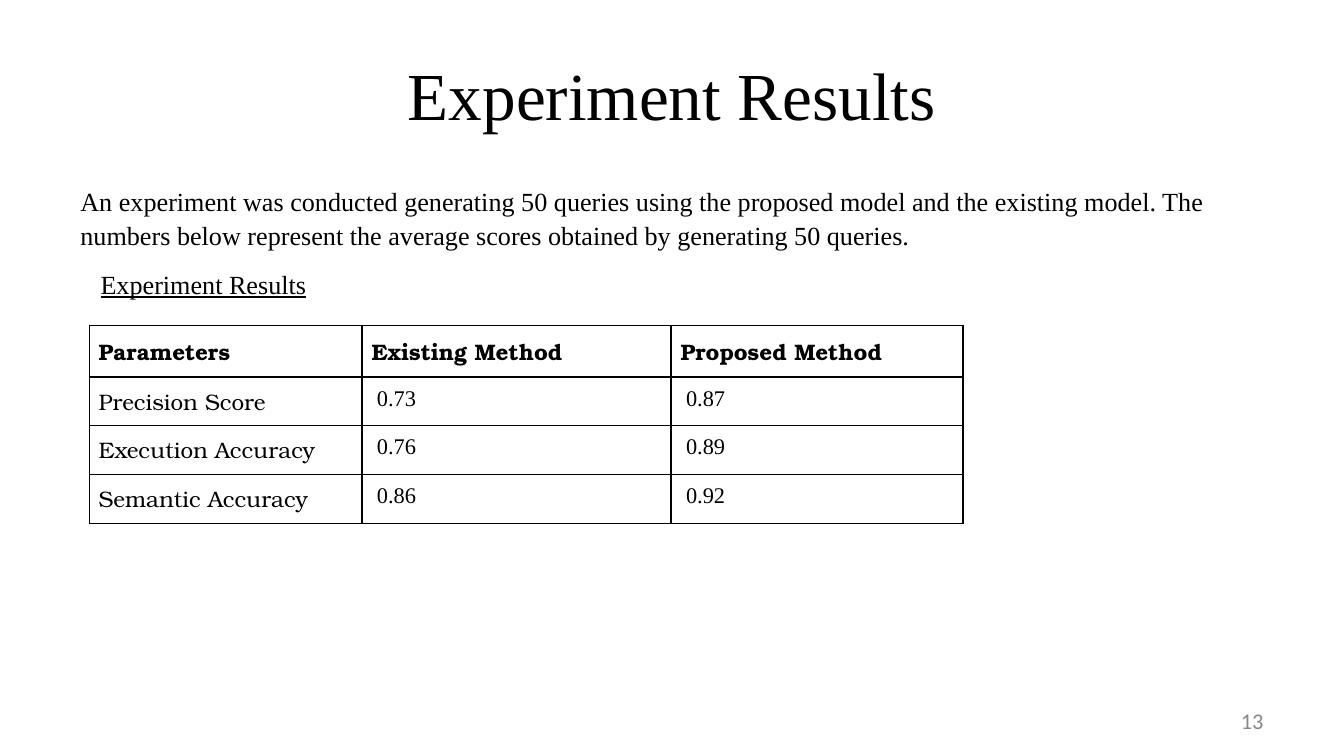
from dataclasses import dataclass

from lxml.etree import SubElement
from pptx import Presentation
from pptx.dml.color import RGBColor
from pptx.enum.text import MSO_ANCHOR, PP_ALIGN
from pptx.oxml.ns import qn
from pptx.util import Inches, Pt


@dataclass(frozen=True)
class Theme:
    ink: str = "000000"
    muted: str = "888888"
    paper: str = "FFFFFF"
    serif: str = "Times New Roman"
    label: str = "TeX Gyre Bonum"
    sans: str = "Calibri"
    title: int = 36
    body: int = 14
    small: int = 12
    border: int = 1


THEME = Theme()
WIDTH = Inches(10)
HEIGHT = WIDTH * 9 // 16
MARGIN = 5  # percent of the slide width
RESULTS = [
    ("Parameters", "Existing Method", "Proposed Method"),
    ("Precision Score", "0.73", "0.87"),
    ("Execution Accuracy", "0.76", "0.89"),
    ("Semantic Accuracy", "0.86", "0.92"),
]
COLUMN_WEIGHTS = (2.03, 2.3, 2.17)


def percent(x, y, w, h):
    """Turn percentages of the slide's size into a box."""
    return (int(x * WIDTH / 100), int(y * HEIGHT / 100),
            int(w * WIDTH / 100), int(h * HEIGHT / 100))


def style(p, size, font, color=THEME.ink, bold=False):
    p.font.size = Pt(size)
    p.font.name = font
    p.font.bold = bold
    p.font.color.rgb = RGBColor.from_string(color)


def add_text(slide, box, text, size, font, color=THEME.ink,
             align=PP_ALIGN.LEFT, anchor=MSO_ANCHOR.MIDDLE):
    tf = slide.shapes.add_textbox(*box).text_frame
    tf.word_wrap = True
    tf.vertical_anchor = anchor
    p = tf.paragraphs[0]
    p.text = text
    p.alignment = align
    style(p, size, font, color)
    return tf


def add_body(slide, box, intro, caption):
    tf = add_text(slide, box, intro, THEME.body, THEME.serif, anchor=MSO_ANCHOR.TOP)
    tf.paragraphs[0].line_spacing = 1.08
    p = tf.add_paragraph()
    p.text = caption
    p.line_spacing = 1.08
    p.space_before = Pt(8)
    p._p.get_or_add_pPr().set("marL", str(Inches(0.15)))
    style(p, THEME.body, THEME.serif)
    p.font.underline = True


def add_borders(cell):
    tc_pr = cell._tc.get_or_add_tcPr()
    for i, side in enumerate(("a:lnL", "a:lnR", "a:lnT", "a:lnB")):
        ln = tc_pr.makeelement(qn(side), {"w": str(Pt(THEME.border))})
        tc_pr.insert(i, ln)
        fill = SubElement(ln, qn("a:solidFill"))
        SubElement(fill, qn("a:srgbClr"), val=THEME.ink)


def add_results(slide, box, rows):
    """Draw the score table; columns and header take fixed shares of the box."""
    x, y, w, h = box
    table = slide.shapes.add_table(len(rows), len(rows[0]), x, y, w, h).table
    for column, weight in zip(table.columns, COLUMN_WEIGHTS):
        column.width = int(w * weight / sum(COLUMN_WEIGHTS))
    header = int(h * 0.26)
    for i, values in enumerate(rows):
        table.rows[i].height = header if i == 0 else (h - header) // (len(rows) - 1)
        for j, value in enumerate(values):
            cell = table.cell(i, j)
            is_score = i > 0 and j > 0
            cell.fill.solid()
            cell.fill.fore_color.rgb = RGBColor.from_string(THEME.paper)
            cell.margin_top = cell.margin_bottom = cell.margin_right = Inches(0.07)
            cell.margin_left = Inches(0.11 if is_score else 0.07)
            cell.text = value
            style(cell.text_frame.paragraphs[0], THEME.small,
                  THEME.serif if is_score else THEME.label, bold=i == 0)
            add_borders(cell)


def build_results_slide(prs):
    slide = prs.slides.add_slide(prs.slide_layouts[6])
    full = 100 - 2 * MARGIN
    add_text(slide, percent(MARGIN, 4, full, 16.7), "Experiment Results",
             THEME.title, THEME.serif, align=PP_ALIGN.CENTER)
    add_body(slide, percent(MARGIN, 23.33, full, 66),
             "An experiment was conducted generating 50 queries using the proposed "
             "model and the existing model. The numbers below represent the average "
             "scores obtained by generating 50 queries.",
             "Experiment Results")
    add_results(slide, percent(6.65, 43.03, 65, 26.2), RESULTS)
    add_text(slide, percent(71.67, 92.7, 23.33, 5.3), "13", THEME.small,
             THEME.sans, THEME.muted, PP_ALIGN.RIGHT)


def main():
    prs = Presentation()
    prs.slide_width, prs.slide_height = WIDTH, HEIGHT
    build_results_slide(prs)
    prs.save("out.pptx")


if __name__ == "__main__":
    main()
